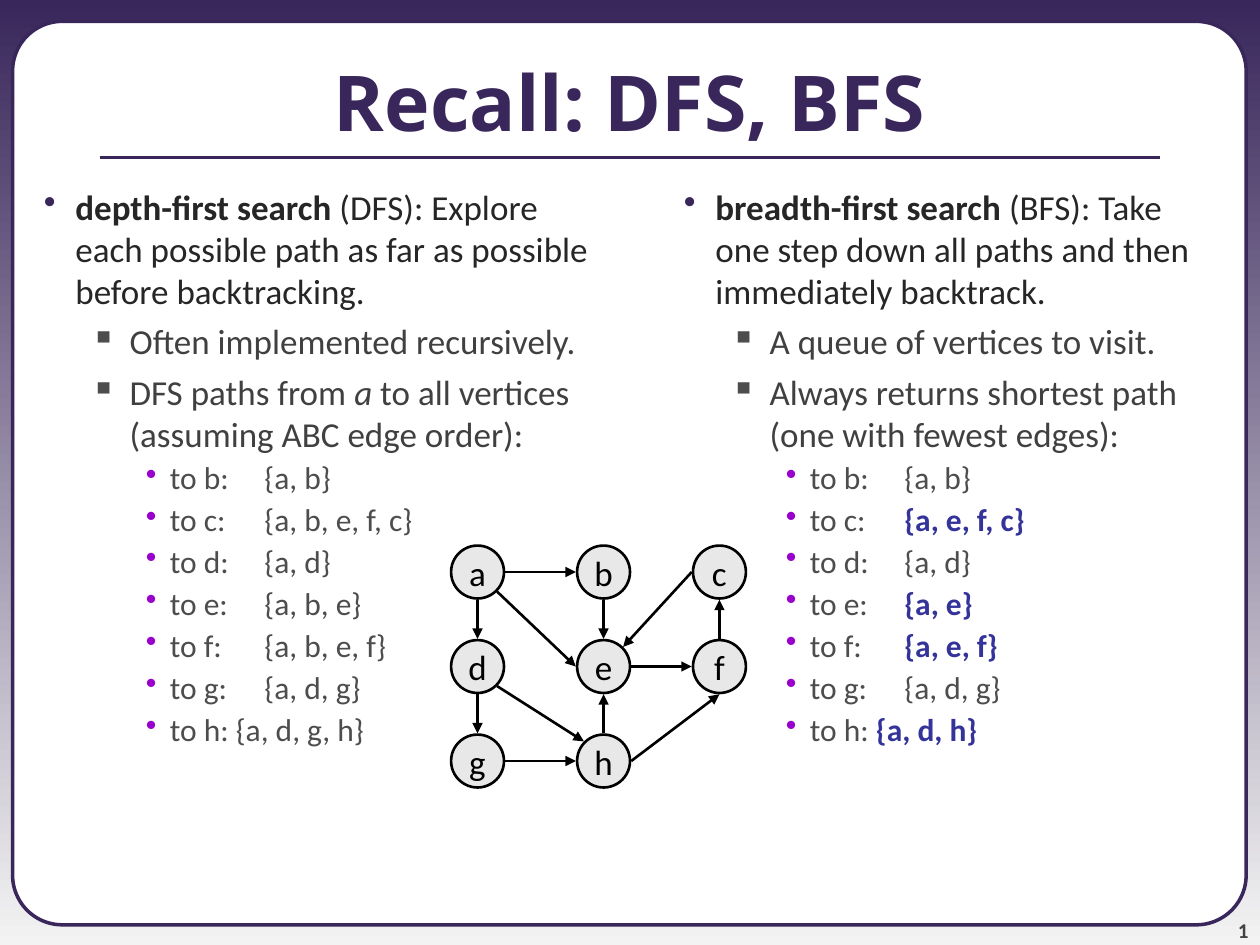
"""Build the slide that compares depth-first and breadth-first search."""
import math

from lxml import etree
from pptx import Presentation
from pptx import util as u
from pptx.dml.color import RGBColor
from pptx.enum import shapes, text
from pptx.oxml import ns

PURPLE = RGBColor(0x39, 0x27, 0x5B)
PALE = RGBColor(0xF3, 0xF3, 0xF3)
WHITE = RGBColor(0xFF, 0xFF, 0xFF)
BLACK = RGBColor(0x00, 0x00, 0x00)
NODE_FILL = RGBColor(0xE8, 0xE8, 0xE8)
INK = RGBColor(0x26, 0x26, 0x26)
DARK_GRAY = RGBColor(0x40, 0x40, 0x40)
GRAY = RGBColor(0x4D, 0x4D, 0x4D)
NUMBER_GRAY = RGBColor(0x42, 0x42, 0x42)
VIOLET = RGBColor(0x99, 0x00, 0xCC)
BLUE = RGBColor(0x33, 0x33, 0x99)

WIDTH, HEIGHT = 10, 7.5
COLUMNS = (3.79, 4.79, 5.71)
ROWS = (4.54, 5.29, 6.04)
DIAMETER = 0.42
REACH = 0.22

LEVELS = (
    {"margin": 0.5, "hang": 0.25, "bullet": "•", "bullet_color": PURPLE,
     "font": {"size": u.Pt(20), "color": INK},
     "spacing": {"space_before": u.Pt(5)}},
    {"margin": 0.93, "hang": 0.31, "bullet": "▪", "bullet_color": GRAY,
     "font": {"size": u.Pt(20), "color": DARK_GRAY},
     "spacing": {"space_before": u.Pt(5)}},
    {"margin": 1.25, "hang": 0.19, "bullet": "•", "bullet_color": VIOLET,
     "font": {"size": u.Pt(18), "color": GRAY},
     "spacing": {"space_before": u.Pt(4.5), "line_spacing": 0.9}},
)
BOLD = {"bold": True}
SHORTER = {"bold": True, "color": BLUE}

DFS_INTRO = (
    (0, [("depth-first search", BOLD),
         (" (DFS): Explore each possible path as far as possible before backtracking.", {})]),
    (1, [("Often implemented recursively.", {})]),
    (1, [("DFS paths from ", {}), ("a", {"italic": True}),
         (" to all vertices (assuming ABC edge order):", {})]),
)
BFS_INTRO = (
    (0, [("breadth-first search", BOLD),
         (" (BFS): Take one step down all paths and then immediately backtrack.", {})]),
    (1, [("A queue of vertices to visit.", {})]),
    (1, [("Always returns shortest path (one with fewest edges):", {})]),
)
DFS_PATHS = {"b": "a, b", "c": "a, b, e, f, c", "d": "a, d", "e": "a, b, e",
             "f": "a, b, e, f", "g": "a, d, g", "h": "a, d, g, h"}
BFS_PATHS = {"b": "a, b", "c": "a, e, f, c", "d": "a, d", "e": "a, e",
             "f": "a, e, f", "g": "a, d, g", "h": "a, d, h"}

VERTICES = {"a": (0, 0), "b": (1, 0), "c": (2, 0), "d": (0, 1),
            "e": (1, 1), "f": (2, 1), "g": (0, 2), "h": (1, 2)}
RIGHT, LOWER_RIGHT, DOWN, LEFT, UPPER_LEFT, UP, UPPER_RIGHT = 0, 45, 90, 180, 225, 270, 315
EDGES = (
    ("a", DOWN, "d", UP), ("a", RIGHT, "b", LEFT), ("b", DOWN, "e", UP),
    ("c", LEFT, "e", UPPER_RIGHT), ("d", DOWN, "g", UP), ("g", RIGHT, "h", LEFT),
    ("f", UP, "c", DOWN), ("h", UP, "e", DOWN), ("e", RIGHT, "f", LEFT),
    ("d", LOWER_RIGHT, "h", UPPER_LEFT), ("a", LOWER_RIGHT, "e", LEFT),
    ("h", RIGHT, "f", DOWN),
)


def apply_format(target, values):
    """Set each named attribute of the target."""
    for name, value in values.items():
        setattr(target, name, value)


def add_run(paragraph, wording, color, **font_format):
    """Append a run with its font settings."""
    run = paragraph.add_run()
    run.text = wording
    run.font.color.rgb = color
    apply_format(run.font, {"name": "Calibri", **font_format})


def add_box(slide, left, top, width, height, **frame_format):
    """Add a wrapping text box and return its frame."""
    shape = slide.shapes.add_textbox(*map(u.Inches, (left, top, width, height)))
    apply_format(shape.text_frame, {"word_wrap": True, **frame_format})
    return shape.text_frame


def add_line(owner, start, end, color, width, arrow=False):
    """Add a straight line, with an arrowhead at its end if wanted."""
    line = owner.shapes.add_connector(
        shapes.MSO_CONNECTOR.STRAIGHT, *map(u.Inches, (*start, *end)))
    line.line.color.rgb = color
    line.line.width = u.Pt(width)
    if arrow:
        etree.SubElement(line.line._get_or_add_ln(), ns.qn("a:tailEnd"), type="triangle")
    etree.SubElement(line._element.spPr, ns.qn("a:effectLst"))


def add_outlined(owner, kind, bounds, fill, color, width):
    """Add a filled preset shape with an outline."""
    shape = owner.shapes.add_shape(kind, *map(u.Inches, bounds))
    shape.shadow.inherit = False
    shape.fill.solid()
    shape.fill.fore_color.rgb = fill
    shape.line.color.rgb = color
    shape.line.width = u.Pt(width)
    return shape


def set_bullet(paragraph, level):
    """Give a paragraph its indent, bullet and tab stop."""
    properties = paragraph._p.get_or_add_pPr()
    properties.set("marL", str(u.Inches(level["margin"])))
    properties.set("indent", str(-u.Inches(level["hang"])))
    color = etree.SubElement(properties, ns.qn("a:buClr"))
    etree.SubElement(color, ns.qn("a:srgbClr"), val=str(level["bullet_color"]))
    etree.SubElement(properties, ns.qn("a:buChar"), char=level["bullet"])
    tabs = etree.SubElement(properties, ns.qn("a:tabLst"))
    etree.SubElement(tabs, ns.qn("a:tab"), pos=str(u.Inches(2)), algn="l")


def path_items(paths, highlighted=""):
    """Return the list items for the paths to each vertex."""
    return tuple(
        (2, [(f"to {vertex}:" + (" " if vertex == "h" else "\t"), {}),
             (f"{{{path}}}", SHORTER if vertex in highlighted else {})])
        for vertex, path in paths.items())


def add_bullets(slide, left, width, items):
    """Add a column of bulleted paragraphs."""
    frame = add_box(slide, left, 1.42, width, HEIGHT - 1.42)
    for index, (depth, runs) in enumerate(items):
        paragraph = frame.add_paragraph() if index else frame.paragraphs[0]
        level = LEVELS[depth]
        paragraph.level = depth
        apply_format(paragraph, level["spacing"])
        set_bullet(paragraph, level)
        for wording, changes in runs:
            add_run(paragraph, wording, **{**level["font"], **changes})


def add_vertex(graph, name):
    """Add a labelled circle at its place in the grid."""
    column, row = VERTICES[name]
    left, top = COLUMNS[column] - DIAMETER / 2, ROWS[row] - DIAMETER / 2
    shape = add_outlined(graph, shapes.MSO_SHAPE.OVAL, (left, top, DIAMETER, DIAMETER),
                         NODE_FILL, BLACK, 1.5)
    apply_format(shape.text_frame,
                 {"word_wrap": False, "vertical_anchor": text.MSO_ANCHOR.MIDDLE})
    paragraph = shape.text_frame.paragraphs[0]
    paragraph.alignment = text.PP_ALIGN.CENTER
    add_run(paragraph, name, BLACK, size=u.Pt(20))


def rim_point(name, angle):
    """Return the point at an angle just outside a vertex."""
    column, row = VERTICES[name]
    turn = math.radians(angle)
    return COLUMNS[column] + REACH * math.cos(turn), ROWS[row] + REACH * math.sin(turn)


def add_graph(slide):
    """Add the directed graph as one group."""
    graph = slide.shapes.add_group_shape()
    for name in VERTICES:
        add_vertex(graph, name)
    for start, leaving, end, arriving in EDGES:
        add_line(graph, rim_point(start, leaving), rim_point(end, arriving), BLACK, 1.5, True)


def add_frame(slide):
    """Add the gradient background, panel, slide number and title rule."""
    fill = slide.background.fill
    fill.gradient()
    fill.gradient_angle = 270
    for stop, color, position in zip(fill.gradient_stops, (PURPLE, PALE), (0, 1)):
        stop.color.rgb = color
        stop.position = position
    panel = add_outlined(slide, shapes.MSO_SHAPE.ROUNDED_RECTANGLE,
                         (0.1, 0.17, 9.79, 7.17), WHITE, PURPLE, 2)
    panel.adjustments[0] = 0.055
    margins = dict.fromkeys(("margin_left", "margin_top", "margin_right", "margin_bottom"), 0)
    number = add_box(slide, 9.08, 7.08, 0.83, 0.4,
                     vertical_anchor=text.MSO_ANCHOR.BOTTOM, **margins).paragraphs[0]
    number.alignment = text.PP_ALIGN.RIGHT
    add_run(number, "1", NUMBER_GRAY, size=u.Pt(12), bold=True)
    add_line(slide, (0.79, 1.25), (WIDTH - 0.79, 1.25), PURPLE, 2.25)


def add_title(slide, wording):
    """Add the centred title."""
    frame = add_box(slide, 0, 0.17, WIDTH, 1.25, vertical_anchor=text.MSO_ANCHOR.MIDDLE)
    paragraph = frame.paragraphs[0]
    paragraph.alignment = text.PP_ALIGN.CENTER
    add_run(paragraph, wording, PURPLE, name="Open Sans", size=u.Pt(44), bold=True)


def main():
    """Build and save the presentation."""
    presentation = Presentation()
    presentation.slide_width, presentation.slide_height = u.Inches(WIDTH), u.Inches(HEIGHT)
    slide = presentation.slides.add_slide(presentation.slide_layouts[6])
    add_frame(slide)
    add_title(slide, "Recall: DFS, BFS")
    add_bullets(slide, 0, 4.92, DFS_INTRO + path_items(DFS_PATHS))
    add_bullets(slide, 5.08, 4.67, BFS_INTRO + path_items(BFS_PATHS, "cefh"))
    add_graph(slide)
    presentation.save("out.pptx")


if __name__ == "__main__":
    main()
